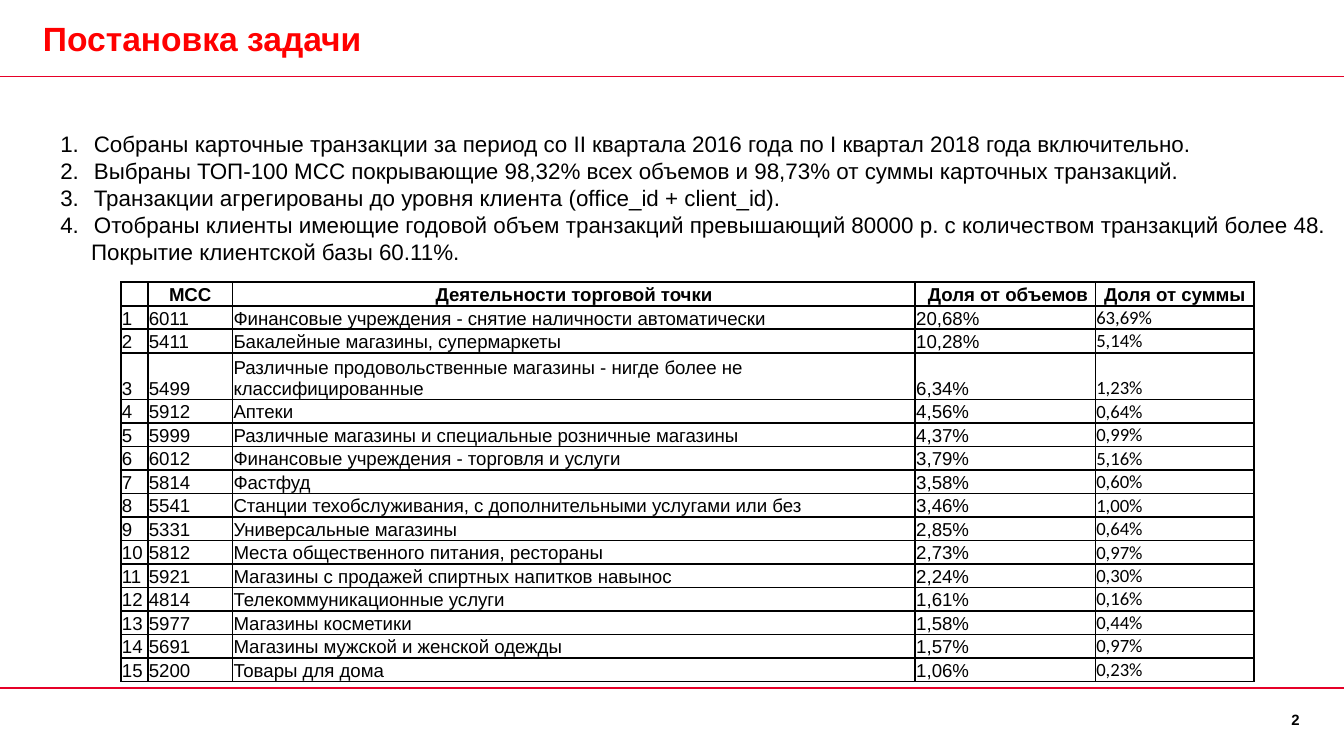
from lxml.etree import SubElement as Sub
from pptx import Presentation
from pptx.dml.color import RGBColor
from pptx.enum.shapes import MSO_CONNECTOR as Link
from pptx.enum.text import MSO_ANCHOR as Anchor, PP_ALIGN as Align
from pptx.oxml.ns import qn
from pptx.util import Inches, Pt

WIDE = 10
HIGH = WIDE * 9 / 16
BLACK, RED, RULE = "000000", "FF0000", "E60028"
COLS = [0.2, 0.63, 5.08, 1.34, 1.18]
ROW = 0.174

STEPS = [
    "Собраны карточные транзакции за период со II квартала 2016 года по I квартал 2018 года включительно.",
    "Выбраны ТОП-100 MCC покрывающие 98,32% всех объемов и 98,73% от суммы карточных транзакций.",
    "Транзакции агрегированы до уровня клиента (office_id + client_id).",
    "Отобраны клиенты имеющие годовой объем транзакций превышающий 80000 р. с количеством транзакций более 48.",
]
COVER = "Покрытие клиентской базы 60.11%."

HEAD = ["", "MCC", "Деятельности торговой точки", " Доля от объемов", "Доля от суммы"]
SHOPS = [
    ("6011", "Финансовые учреждения - снятие наличности автоматически", "20,68%", "63,69%"),
    ("5411", "Бакалейные магазины, супермаркеты", "10,28%", "5,14%"),
    ("5499", "Различные продовольственные магазины - нигде более не классифицированные", "6,34%", "1,23%"),
    ("5912", "Аптеки", "4,56%", "0,64%"),
    ("5999", "Различные магазины и специальные розничные магазины", "4,37%", "0,99%"),
    ("6012", "Финансовые учреждения - торговля и услуги", "3,79%", "5,16%"),
    ("5814", "Фастфуд", "3,58%", "0,60%"),
    ("5541", "Станции техобслуживания, с дополнительными услугами или без", "3,46%", "1,00%"),
    ("5331", "Универсальные магазины", "2,85%", "0,64%"),
    ("5812", "Места общественного питания, рестораны", "2,73%", "0,97%"),
    ("5921", "Магазины с продажей спиртных напитков навынос", "2,24%", "0,30%"),
    ("4814", "Телекоммуникационные услуги", "1,61%", "0,16%"),
    ("5977", "Магазины косметики", "1,58%", "0,44%"),
    ("5691", "Магазины мужской и женской одежды", "1,57%", "0,97%"),
    ("5200", "Товары для дома", "1,06%", "0,23%"),
]
TALL = 3  # the row whose text takes two lines


def paint(hue):
    return RGBColor.from_string(hue)


def style(para, size, bold=False, hue=BLACK, face="Arial", align=Align.LEFT):
    font = para.font
    font.size, font.bold, font.name = Pt(size), bold, face
    font.color.rgb = paint(hue)
    para.alignment = align


def add_box(slide, left, top, width, height, pad=(0.1, 0.05, 0.1, 0.05)):
    """Add a wrapping text box and return its frame; pad is left, top, right, bottom."""
    frame = slide.shapes.add_textbox(*map(Inches, (left, top, width, height))).text_frame
    frame.word_wrap = True
    (frame.margin_left, frame.margin_top,
     frame.margin_right, frame.margin_bottom) = map(Inches, pad)
    return frame


def add_rule(slide, y):
    line = slide.shapes.add_connector(Link.STRAIGHT, 0, Inches(y), Inches(WIDE), Inches(y))
    line.line.color.rgb = paint(RULE)
    line.line.width = Pt(1)
    Sub(line._element.spPr, qn("a:effectLst"))


def indent(para, left, first=0):
    props = para._p.get_or_add_pPr()
    props.set("marL", str(Inches(left)))
    props.set("indent", str(Inches(first)))
    return props


def add_steps(slide):
    frame = add_box(slide, 0.35, 0.92, 9.71, 1.92)
    for i, text in enumerate([*STEPS, COVER]):
        para = frame.paragraphs[0] if i == 0 else frame.add_paragraph()
        para.text = text
        style(para, 12)
        if text == COVER:
            indent(para, 0.23)
        else:
            props = indent(para, 0.25, -0.25)
            Sub(props, qn("a:buFont"), typeface="+mj-lt")
            Sub(props, qn("a:buAutoNum"), type="arabicPeriod")


def edge(cell):
    props = cell._tc.get_or_add_tcPr()
    for side in ("lnL", "lnR", "lnT", "lnB"):
        line = Sub(props, qn(f"a:{side}"), w=str(Pt(1)))
        fill = Sub(line, qn("a:solidFill"))
        Sub(fill, qn("a:srgbClr"), val=BLACK)


def fill_cell(cell, text, **look):
    cell.margin_left = cell.margin_right = cell.margin_top = Pt(0.55)
    cell.margin_bottom = 0
    cell.vertical_anchor = Anchor.BOTTOM
    edge(cell)
    cell.fill.background()
    cell.text = text
    style(cell.text_frame.paragraphs[0], 10, **look)


def add_grid(slide):
    rows = [HEAD] + [(str(n), *shop) for n, shop in enumerate(SHOPS, 1)]
    spot = map(Inches, (0.9, 2.1, sum(COLS), ROW * (len(rows) + 1)))
    table = slide.shapes.add_table(len(rows), len(COLS), *spot).table
    table.first_row = table.horz_banding = False
    for col, width in zip(table.columns, COLS):
        col.width = Inches(width)
    for r, row in enumerate(rows):
        table.rows[r].height = Inches(ROW * (2 if r == TALL else 1))
        for c, text in enumerate(row):
            if r == 0:
                look = dict(bold=True, align=Align.CENTER)
            else:
                look = dict(face="Calibri" if c == len(COLS) - 1 else "Arial")
            fill_cell(table.cell(r, c), text, **look)


def add_title(slide):
    frame = add_box(slide, 0.32, 0, 9.36, 0.57, (0, 0.05, 0.1, 0.05))
    frame.vertical_anchor = Anchor.MIDDLE
    frame.text = "Постановка задачи"
    style(frame.paragraphs[0], 18, True, RED)


def add_number(slide):
    frame = add_box(slide, 9.28, 5.29, 0.39, 0.36, (0, 0, 0, 0))
    frame.text = "2"
    style(frame.paragraphs[0], 8, True, align=Align.RIGHT)


def main():
    deck = Presentation()
    deck.slide_width, deck.slide_height = Inches(WIDE), Inches(HIGH)
    slide = deck.slides.add_slide(deck.slide_layouts[6])
    add_number(slide)
    for y in (0.57, 5.12):
        add_rule(slide, y)
    add_title(slide)
    add_steps(slide)
    add_grid(slide)
    deck.save("out.pptx")


if __name__ == "__main__":
    main()
